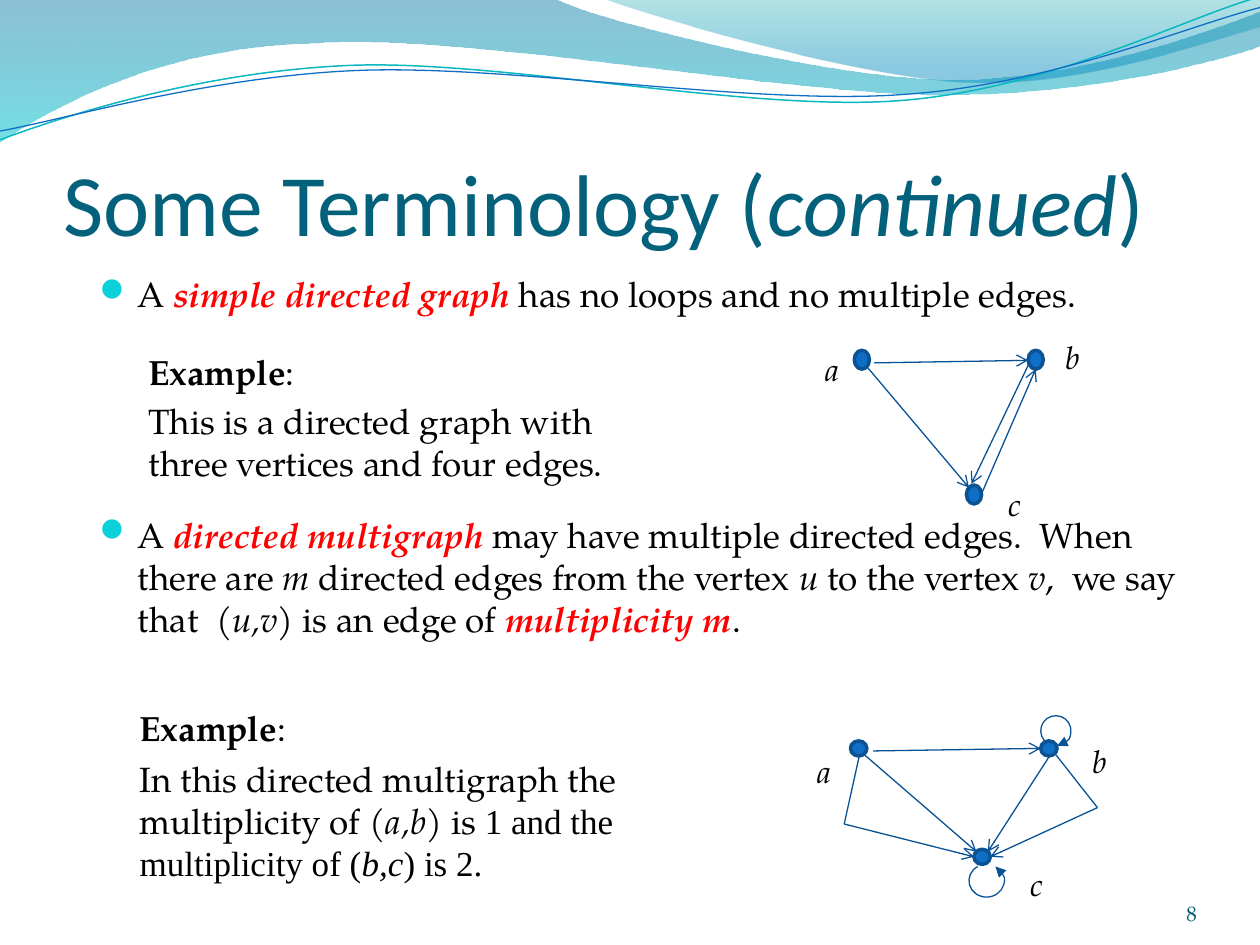
from math import cos, radians, sin, tan
from typing import NamedTuple

from lxml import etree
from pptx import Presentation
from pptx.dml.color import RGBColor
from pptx.enum.shapes import MSO_CONNECTOR, MSO_SHAPE
from pptx.enum.text import MSO_ANCHOR, MSO_AUTO_SIZE, PP_ALIGN
from pptx.oxml.ns import qn
from pptx.util import Cm, Pt

STRAIGHT = MSO_CONNECTOR.STRAIGHT
OVAL = MSO_SHAPE.OVAL
TOP, BOTTOM = MSO_ANCHOR.TOP, MSO_ANCHOR.BOTTOM
LEFT, RIGHT = PP_ALIGN.LEFT, PP_ALIGN.RIGHT
NO_FIT = MSO_AUTO_SIZE.NONE

SERIF, TITLE_FONT, TIMES = "TeX Gyre Pagella", "Calibri", "Times New Roman"
COLORS = {
    "title": "04617B", "text": "000000", "key": "FF0000", "bullet": "0BD0D9",
    "node": "0F6FC6", "node_line": "0B5292", "edge": "095295", "number": "045D75",
    "teal": "0AB8BF", "blue": "0F6FC6",
}


class Span(NamedTuple):
    """A stretch of text in one style."""
    text: str
    bold: bool = False
    italic: bool = False
    color: str = "text"
    font: str = SERIF
    size: int = 20


class Edge(NamedTuple):
    """A line between two points, with an arrow at its end if directed."""
    start: tuple
    end: tuple
    directed: bool = True


class Loop(NamedTuple):
    """An elliptic arc with an arrow at its end; angles run clockwise."""
    center: tuple
    radii: tuple
    first: float
    last: float


class Graph(NamedTuple):
    """A drawing of vertices, edges, loops and vertex names."""
    node_size: tuple
    nodes: list
    edges: list
    label_size: tuple
    labels: dict
    loops: list = []


class Swash(NamedTuple):
    """A filled band: cubic pieces and corners, with (position, colour, alpha) stops."""
    start: tuple
    pieces: list
    stops: list


class Wave(NamedTuple):
    """A thin open curve."""
    start: tuple
    pieces: list
    color: str
    width: float


def inch(value: float) -> Cm:
    """Turn inches into a Cm length."""
    return Cm(value * 2.54)


def rgb(name: str) -> RGBColor:
    """Look up a colour by its name."""
    return RGBColor.from_string(COLORS[name])


def add_arrow(shape, kind: str) -> None:
    """Put an arrowhead at the end of a line."""
    etree.SubElement(shape.line._get_or_add_ln(), qn("a:tailEnd"), type=kind)


def set_line(shape, color: str, width: float) -> None:
    """Set line colour and width."""
    shape.line.color.rgb = rgb(color)
    shape.line.width = Pt(width)


def draw_outline(shapes, start: tuple, pieces: list, closed: bool = False):
    """Draw a freeform of cubic pieces (six numbers) and corners (two numbers)."""
    builder = shapes.build_freeform(*map(inch, start), scale=1.0)
    builder.add_line_segments([tuple(map(inch, piece[-2:])) for piece in pieces], close=closed)
    shape = builder.convert_to_shape()
    shape.shadow.inherit = False
    if not closed:
        shape.fill.background()
    for segment, piece in zip(list(shape._element.iter(qn("a:lnTo"))), pieces):
        if len(piece) == 6:
            segment.tag = qn("a:cubicBezTo")
            for place_in, (x, y) in enumerate((piece[:2], piece[2:4])):
                point = etree.Element(qn("a:pt"), x=str(inch(x) - shape.left),
                                      y=str(inch(y) - shape.top))
                segment.insert(place_in, point)
    return shape


def arc(loop: Loop, count: int = 4) -> tuple:
    """Give the start and the cubic pieces of an elliptic arc."""
    (x, y), (across, down), first, last = loop
    step = radians(last - first) / count
    pull = 4 / 3 * tan(step / 4)

    def spot(angle: float, lean: float = 0) -> tuple:
        """Find the point at an angle, moved along the tangent."""
        return (x + across * (cos(angle) - lean * sin(angle)),
                y + down * (sin(angle) + lean * cos(angle)))

    angles = [radians(first) + step * turn for turn in range(count + 1)]
    return spot(angles[0]), [spot(a, pull) + spot(b, -pull) + spot(b)
                             for a, b in zip(angles, angles[1:])]


def draw_swash(shapes, swash: Swash) -> None:
    """Draw a band with a see-through gradient from top to bottom."""
    shape = draw_outline(shapes, swash.start, swash.pieces, closed=True)
    shape.line.fill.background()
    shape.fill.gradient()
    shape.fill.gradient_angle = 270
    for stop, (_, color, _) in zip(shape.fill.gradient_stops, swash.stops):
        stop.color.rgb = RGBColor.from_string(color)
    for mark, (position, _, alpha) in zip(shape._element.iter(qn("a:gs")), swash.stops):
        mark.set("pos", str(position * 1000))
        etree.SubElement(mark[0], qn("a:alpha"), val=str(alpha * 1000))


def write(para, spans: list) -> None:
    """Add formatted spans to a paragraph."""
    for span in spans:
        run = para.add_run()
        run.text = span.text
        run.font.name, run.font.size = span.font, Pt(span.size)
        run.font.bold, run.font.italic = span.bold, span.italic
        run.font.color.rgb = rgb(span.color)


def place(box, at: tuple) -> None:
    """Move and size a box."""
    box.left, box.top, box.width, box.height = map(inch, at)


def add_text(shapes, at: tuple, spans: list):
    """Add a wrapped text box of one paragraph."""
    box = shapes.add_textbox(*map(inch, at))
    box.text_frame.word_wrap = True
    write(box.text_frame.paragraphs[0], spans)
    return box


def add_bullet(para) -> None:
    """Give a paragraph a hanging round bullet."""
    props = para._p.get_or_add_pPr()
    props.set("marL", str(inch(0.3)))
    props.set("indent", str(-inch(0.3)))
    color = etree.SubElement(props, qn("a:buClr"))
    etree.SubElement(color, qn("a:srgbClr"), val=COLORS["bullet"])
    etree.SubElement(props, qn("a:buSzPct"), val="95000")
    etree.SubElement(props, qn("a:buFont"), typeface="Wingdings 2", charset="2")
    etree.SubElement(props, qn("a:buChar"), char="\uf097")


def draw_graph(page, graph: Graph) -> None:
    """Draw a directed graph as one group."""
    shapes = page.shapes.add_group_shape().shapes
    for left, top in graph.nodes:
        node = shapes.add_shape(OVAL, *map(inch, (left, top, *graph.node_size)))
        node.shadow.inherit = False
        node.fill.solid()
        node.fill.fore_color.rgb = rgb("node")
        set_line(node, "node_line", 2)
    for edge in graph.edges:
        line = shapes.add_connector(STRAIGHT, *map(inch, edge.start + edge.end))
        set_line(line, "edge", 0.75)
        if edge.directed:
            add_arrow(line, "arrow")
        etree.SubElement(line._element.spPr, qn("a:effectLst"))
    for name, corner in graph.labels.items():
        add_text(shapes, corner + graph.label_size, [Span(name, italic=True, size=18)])
    for loop in graph.loops:
        curve = draw_outline(shapes, *arc(loop))
        set_line(curve, "edge", 0.75)
        add_arrow(curve, "triangle")


SWASHES = [
    Swash((0, 0), [(4.4, -0.01), (4.76, 0.17, 6.64, 0.63, 7.58, 0.63),
                   (8.53, 0.63, 9.58, 0.26, 10, 0.09), (10.01, 0.36),
                   (9.83, 0.44, 8.7, 0.76, 7.46, 0.75), (6.22, 0.75, 3.82, 0.28, 2.57, 0.34),
                   (1.29, 0.36, 0.46, 0.83, -0.01, 1.13)],
          [(0, "0074A1", 45), (100, "00C6CF", 55)]),
    Swash((4.79, -0.01), [(5.09, 0.11, 6.82, 0.62, 7.69, 0.65),
                          (8.56, 0.69, 9.61, 0.32, 10, 0.21), (10, 0)],
          [(0, "00A1A9", 30), (80, "008BBF", 45)]),
]
WAVES = [
    Wave((0, 1.11), [(0.48, 0.93, 1.58, 0.57, 2.77, 0.52), (3.95, 0.47, 5.93, 0.89, 7.13, 0.8),
                     (8.33, 0.71, 9.38, 0.15, 9.98, -0.02)], "teal", 0.85),
    Wave((0, 1.04), [(0.47, 0.96, 1.64, 0.61, 2.83, 0.56), (4.03, 0.51, 5.97, 0.84, 7.17, 0.75),
                     (8.36, 0.67, 9.41, 0.21, 10, 0.06)], "blue", 0.75),
]
SIMPLE_GRAPH = Graph(
    (0.12, 0.15), [(6.78, 2.78), (7.67, 3.85), (8.16, 2.78)],
    [Edge((6.94, 2.88), (8.16, 2.86)), Edge((6.88, 2.91), (7.69, 3.87)),
     Edge((8.16, 2.9), (7.71, 3.84)), Edge((7.79, 3.92), (8.22, 2.93))],
    (0.24, 0.25), {"a": (6.45, 2.73), "b": (8.36, 2.63), "c": (7.91, 3.8)})
MULTIGRAPH = Graph(
    (0.13, 0.12), [(6.75, 5.88), (7.73, 6.74), (8.26, 5.88)],
    [Edge((6.93, 5.96), (8.26, 5.94)), Edge((6.86, 5.99), (7.75, 6.76)),
     Edge((8.33, 6), (7.84, 6.76)), Edge((6.7, 6.54), (7.73, 6.8)),
     Edge((6.7, 6.54), (6.82, 6), False), Edge((8.71, 6.41), (7.86, 6.8)),
     Edge((8.71, 6.41), (8.38, 5.99), False)],
    (0.27, 0.2), {"c": (8.08, 6.82), "a": (6.39, 5.92), "b": (8.57, 5.84)},
    [Loop((7.83, 6.99), (0.14, 0.13), 240, -60), Loop((8.38, 5.8), (0.12, 0.12), 138, 445)])
BULLETS = [
    [Span("A "), Span("simple directed graph ", True, True, "key"),
     Span("has no loops and no multiple edges.")],
    [Span("A "), Span("directed multigraph ", True, True, "key"),
     Span("may have multiple directed edges.  When there are "), Span("m", italic=True),
     Span(" directed edges from the vertex "), Span("u", italic=True),
     Span(" to the vertex "), Span("v", italic=True), Span(",  we say that  ("),
     Span("u,v", italic=True), Span(") is an edge of "),
     Span("multiplicity m", True, True, "key"), Span(".")],
]
EXAMPLE = [Span("Example", bold=True), Span(":")]
NOTES = [
    ((1.01, 5.96, 5.02, 1.11),
     [Span("In this directed multigraph the multiplicity of ("), Span("a,b", italic=True),
      Span(") is "), Span("1 and the multiplicity of (", font=TIMES),
      Span("b,c", italic=True, font=TIMES), Span(") is 2.", font=TIMES)]),
    ((1.08, 2.73, 1.5, 0.44), EXAMPLE),
    ((1.08, 3.12, 3.84, 0.77),
     [Span("This is a directed graph with three vertices and four edges.")]),
    ((1.01, 5.56, 1.5, 0.44), EXAMPLE),
]


def fill_placeholders(page) -> None:
    """Place and write the title and the two bullets."""
    title, body = page.shapes.title, page.placeholders[1]
    place(title, (0.5, 0.77, 9, 1.25))
    frame = title.text_frame
    frame.auto_size, frame.vertical_anchor = NO_FIT, BOTTOM
    frame.margin_left = frame.margin_right = frame.margin_bottom = 0
    frame.paragraphs[0].alignment = LEFT
    heading = Span("Some Terminology (", color="title", font=TITLE_FONT, size=50)
    write(frame.paragraphs[0], [heading, heading._replace(text="continued", italic=True),
                                heading._replace(text=")")])
    place(body, (0.69, 2.11, 9, 4.8))
    frame = body.text_frame
    frame.auto_size, frame.vertical_anchor = NO_FIT, TOP
    for spans, gap in zip(BULLETS, (3.4, 113.6)):
        para = frame.paragraphs[0] if spans is BULLETS[0] else frame.add_paragraph()
        para.space_before = Pt(gap)
        add_bullet(para)
        write(para, spans)


def build() -> None:
    """Build the slide and save the deck."""
    deck = Presentation()
    deck.slide_width, deck.slide_height = inch(10), inch(7.5)
    page = deck.slides.add_slide(deck.slide_layouts[1])
    for swash in SWASHES:
        draw_swash(page.shapes, swash)
    for wave in WAVES:
        set_line(draw_outline(page.shapes, wave.start, wave.pieces), wave.color, wave.width)
    fill_placeholders(page)
    draw_graph(page, SIMPLE_GRAPH)
    draw_graph(page, MULTIGRAPH)
    for at, spans in NOTES:
        add_text(page.shapes, at, spans)
    number = add_text(page.shapes, (8.67, 6.95, 0.83, 0.4), [Span("8", color="number", size=12)])
    frame = number.text_frame
    frame.margin_left = frame.margin_right = frame.margin_top = frame.margin_bottom = 0
    frame.vertical_anchor = BOTTOM
    frame.paragraphs[0].alignment = RIGHT
    deck.save("out.pptx")


build()
